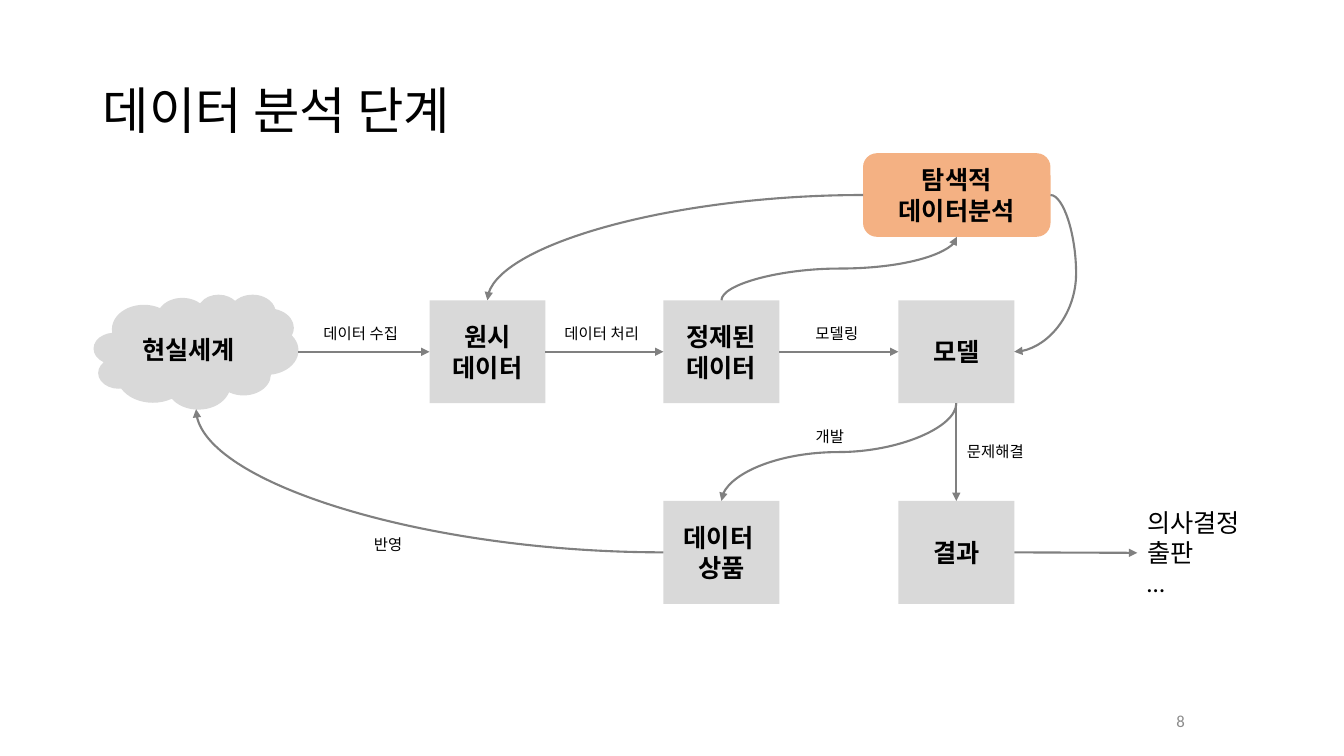
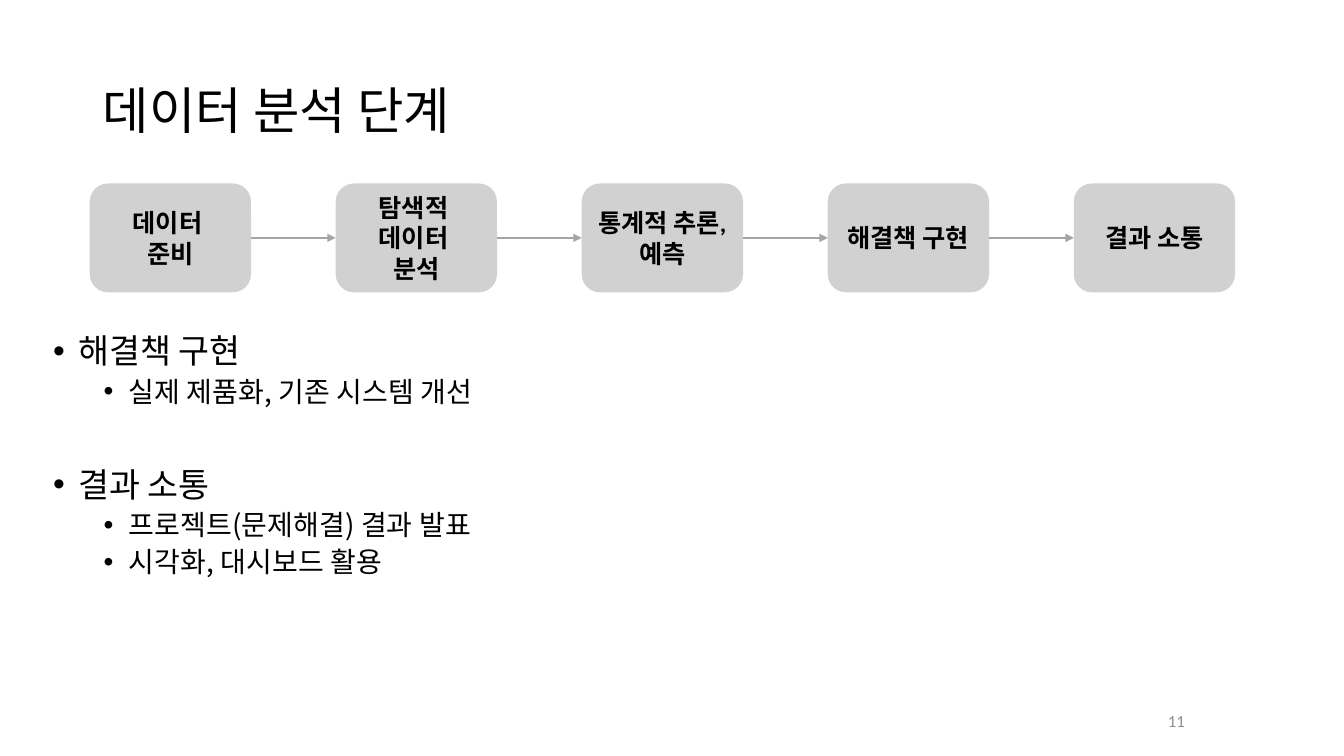
from pptx import Presentation
from pptx.dml.color import RGBColor
from pptx.enum.shapes import MSO_CONNECTOR as Conn, MSO_SHAPE as Shp
from pptx.enum.text import MSO_ANCHOR as Anchor, MSO_AUTO_SIZE as Fit, PP_ALIGN as Align
from pptx.oxml.ns import qn
from pptx.util import Inches, Pt
from lxml.etree import SubElement

BLACK = RGBColor(0x00, 0x00, 0x00)
PALE = RGBColor(0xD9, 0xD9, 0xD9)
PEACH = RGBColor(0xF4, 0xB1, 0x83)
GRAY = RGBColor(0x80, 0x80, 0x80)
SILVER = RGBColor(0xA5, 0xA5, 0xA5)
FAINT = RGBColor(0x8C, 0x8C, 0x8C)

SANS, KOREAN = "Calibri", "Noto Sans CJK KR"
FORMATS = {
    "title": {"name": KOREAN, "size": Pt(36)},
    "head": {"name": KOREAN, "size": Pt(24)},
    "item": {"name": KOREAN, "size": Pt(20)},
    "node": {"name": SANS, "size": Pt(18), "bold": True},
    "note": {"name": SANS, "size": Pt(18)},
    "label": {"name": SANS, "size": Pt(11)},
    "page": {"name": SANS, "size": Pt(12)},
}
TITLE = "데이터 분석 단계"
TOP, LEFT, BOTTOM, RIGHT = range(4)
CLOUD_SITES = {TOP: 3, LEFT: 2, BOTTOM: 1, RIGHT: 0}

# Slide 8: flow chart
BOX_W, BOX_H = 1.15, 1.02
COLS, ROWS = (4.26, 6.58, 8.91), (2.98, 4.97)
BOXES = [  # name, column, row, text
    ("raw", 0, 0, "원시\n데이터"),
    ("clean", 1, 0, "정제된\n데이터"),
    ("model", 2, 0, "모델"),
    ("result", 2, 1, "결과"),
    ("product", 1, 1, "데이터 \v상품"),
]
WORLD = (0.93, 2.92, 2.03, 1.14), "현실세계"
EXPLORE = (8.56, 1.52, 1.86, 0.83), "탐색적\n데이터분석"
OUTCOME = (11.28, 4.98, 1.21, 1.01), "의사결정\n출판\n…"
LABELS = [
    (3.11, 3.17, 1.03, "데이터 수집"),
    (5.5, 3.17, 1.03, "데이터 처리"),
    (7.99, 3.17, 0.66, "모델링"),
    (7.99, 4.19, 0.51, "개발"),
    (3.61, 5.26, 0.51, "반영"),
    (9.49, 4.34, 0.82, "문제해결"),
]
LINKS = [  # start, side, end, side, preset, bend
    ("world", RIGHT, "raw", LEFT, None, None),
    ("raw", RIGHT, "clean", LEFT, None, None),
    ("clean", RIGHT, "model", LEFT, None, None),
    ("model", BOTTOM, "result", TOP, None, None),
    ("result", RIGHT, "outcome", LEFT, None, None),
    ("product", LEFT, "world", BOTTOM, "curvedConnector2", None),
    ("model", BOTTOM, "product", TOP, "curvedConnector3", 50000),
    ("explore", LEFT, "raw", TOP, "curvedConnector2", None),
    ("clean", TOP, "explore", BOTTOM, "curvedConnector3", 50000),
    ("explore", RIGHT, "model", RIGHT, "curvedConnector3", -70600),
]

# Slide 11: steps and bullets
STEPS = ["데이터 \v준비", "탐색적 \v데이터 \v분석", "통계적 추론, 예측",
         "해결책 구현", "결과 소통"]
STEP_X, STEP_Y, STEP_W, STEP_H, PITCH = 0.89, 1.82, 1.6, 1.08, 2.44
BULLETS = [  # format, space before, text
    ("head", 10, "해결책 구현"),
    ("item", 5, "실제 제품화, 기존 시스템 개선"),
    ("head", 43, "결과 소통"),
    ("item", 5, "프로젝트(문제해결) 결과 발표"),
    ("item", 5, "시각화, 대시보드 활용"),
]
INDENT = {"head": 0.25, "item": 0.75}


def style(para, form, color=BLACK, align=None):
    para.alignment = align
    for run in para.runs:
        for key, val in FORMATS[form].items():
            setattr(run.font, key, val)
        run.font.color.rgb = color
        SubElement(run.font._element, qn("a:ea"), typeface=SANS)


def fill_text(shape, text, form, **look):
    frame = shape.text_frame
    frame.text = text
    for para in frame.paragraphs:
        style(para, form, **look)
    return frame


def add_text(slide, box, text, form, anchor=Anchor.TOP, wrap=True, **look):
    shape = slide.shapes.add_textbox(*map(Inches, box))
    frame = fill_text(shape, text, form, **look)
    frame.word_wrap = wrap
    frame.auto_size = Fit.NONE if wrap else Fit.SHAPE_TO_FIT_TEXT
    frame.vertical_anchor = anchor
    return shape


def add_node(slide, kind, box, text, color, alpha=None):
    shape = slide.shapes.add_shape(kind, *map(Inches, box))
    shape.shadow.inherit = False
    shape.fill.solid()
    shape.fill.fore_color.rgb = color
    shape.line.fill.background()
    if alpha:
        tint = shape.element.spPr.find(qn("a:solidFill"))[0]
        SubElement(tint, qn("a:alpha"), val=str(alpha * 1000))
    frame = fill_text(shape, text, "node", align=Align.CENTER)
    frame.word_wrap = True
    frame.vertical_anchor = Anchor.MIDDLE
    return shape


def spot(shape, side):
    """Return the middle of one side of the shape."""
    x, y = shape.left + shape.width // 2, shape.top + shape.height // 2
    return {TOP: (x, shape.top), LEFT: (shape.left, y),
            BOTTOM: (x, shape.top + shape.height),
            RIGHT: (shape.left + shape.width, y)}[side]


def site(shape, side):
    """Return the connection site number, which a cloud counts differently."""
    is_cloud = shape.element.spPr.find(qn("a:prstGeom")).get("prst") == "cloud"
    return CLOUD_SITES[side] if is_cloud else side


def add_link(slide, start, out, end, into, color, preset=None, bend=None):
    """Join two shapes; a curve that leaves vertically is turned by 90 degrees."""
    (x1, y1), (x2, y2) = spot(start, out), spot(end, into)
    kind = Conn.CURVE if preset else Conn.STRAIGHT
    link = slide.shapes.add_connector(kind, x1, y1, x2, y2)
    link.begin_connect(start, site(start, out))
    link.end_connect(end, site(end, into))

    wide, high = abs(x2 - x1), abs(y2 - y1)
    flips = x2 < x1, y2 < y1
    turned = bool(preset) and out in (TOP, BOTTOM)
    if turned:
        wide, high = high, wide
        flips = y2 < y1, x2 > x1
    link.left, link.top = (x1 + x2 - wide) // 2, (y1 + y2 - high) // 2
    link.width, link.height = wide, high
    props = link.element.spPr
    frame = props.find(qn("a:xfrm"))
    frame.set("rot", "5400000" if turned else "0")
    for key, flip in zip(("flipH", "flipV"), flips):
        frame.set(key, str(int(flip)))
    if preset:
        geom = props.find(qn("a:prstGeom"))
        geom.set("prst", preset)
        if bend is not None:
            SubElement(geom.find(qn("a:avLst")), qn("a:gd"),
                       name="adj1", fmla=f"val {bend}")

    link.line.color.rgb = color
    link.line.width = Pt(1.5)
    SubElement(props.find(qn("a:ln")), qn("a:tailEnd"), type="triangle")
    SubElement(props, qn("a:effectLst"))


def add_bullets(slide, box):
    shape = add_text(slide, box, "\n".join(b[2] for b in BULLETS), "head")
    for para, (form, gap, text) in zip(shape.text_frame.paragraphs, BULLETS):
        para.text = text
        style(para, form)
        para.level = int(form == "item")
        para.line_spacing = 0.9
        para.space_before = Pt(gap)
        props = para._p.get_or_add_pPr()
        props.set("marL", str(Inches(INDENT[form])))
        props.set("indent", str(Inches(-0.25)))
        SubElement(props, qn("a:buFont"), typeface="Arial")
        SubElement(props, qn("a:buChar"), char="•")


def new_slide(deck, page):
    slide = deck.slides.add_slide(deck.slide_layouts[6])
    title = add_text(slide, (0.92, 0.4, 11.5, 1.45), TITLE, "title", Anchor.MIDDLE)
    title.text_frame.paragraphs[0].line_spacing = 0.9
    add_text(slide, (9.42, 6.95, 2.43, 0.4), str(page), "page", Anchor.MIDDLE,
             color=FAINT, align=Align.RIGHT)
    return slide


def build_flow(deck):
    slide = new_slide(deck, 8)
    nodes = {
        "world": add_node(slide, Shp.CLOUD, *WORLD, PALE),
        "explore": add_node(slide, Shp.ROUNDED_RECTANGLE, *EXPLORE, PEACH),
        "outcome": add_text(slide, *OUTCOME, "note", wrap=False),
    }
    for name, col, row, text in BOXES:
        box = COLS[col], ROWS[row], BOX_W, BOX_H
        nodes[name] = add_node(slide, Shp.RECTANGLE, box, text, PALE)
    for start, out, end, into, preset, bend in LINKS:
        add_link(slide, nodes[start], out, nodes[end], into, GRAY, preset, bend)
    for x, y, width, text in LABELS:
        add_text(slide, (x, y, width, 0.29), text, "label", wrap=False)


def build_steps(deck):
    slide = new_slide(deck, 11)
    add_bullets(slide, (0.43, 3.27, 12.47, 3.49))
    steps = [add_node(slide, Shp.ROUNDED_RECTANGLE,
                      (STEP_X + i * PITCH, STEP_Y, STEP_W, STEP_H),
                      text, SILVER, alpha=50)
             for i, text in enumerate(STEPS)]
    for start, end in zip(steps, steps[1:]):
        add_link(slide, start, RIGHT, end, LEFT, SILVER)


def main():
    deck = Presentation()
    deck.slide_width, deck.slide_height = Inches(13.33), Inches(7.5)
    build_flow(deck)
    build_steps(deck)
    deck.save("out.pptx")


if __name__ == "__main__":
    main()
